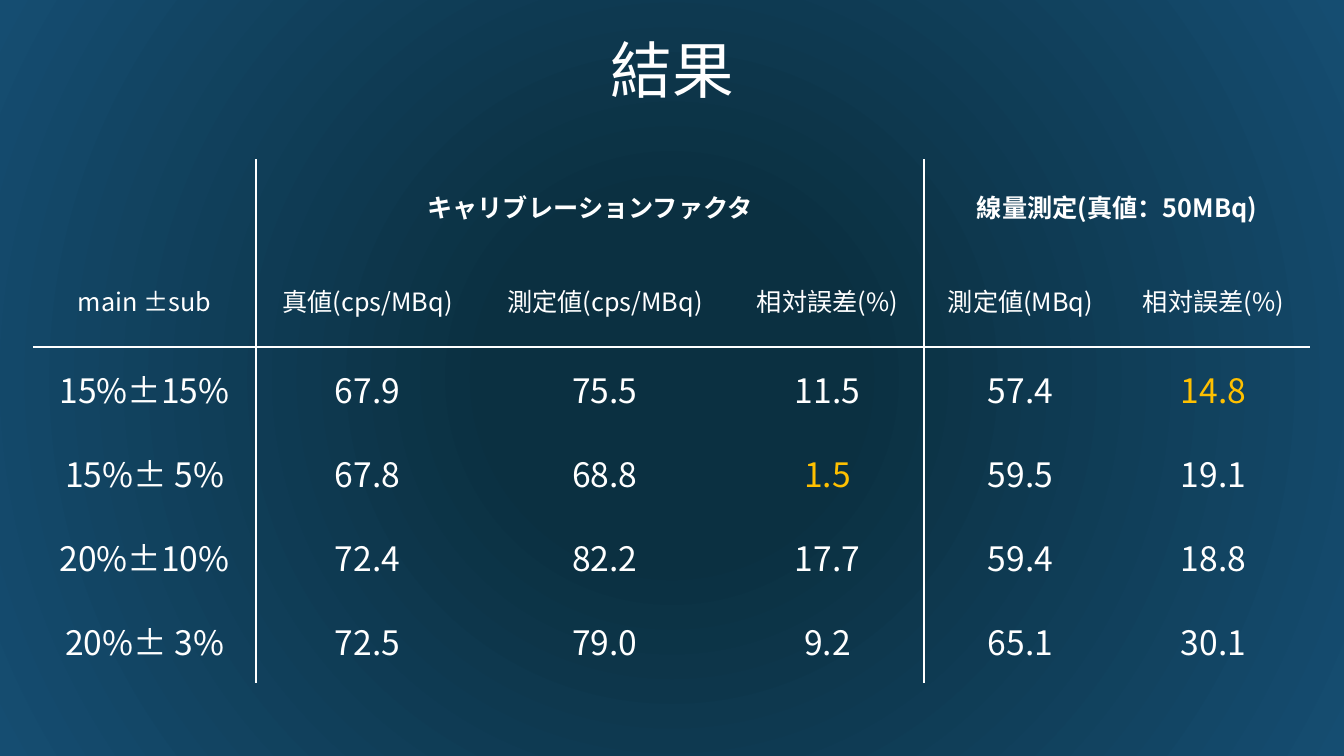
from lxml import etree
from pptx import Presentation
from pptx.dml.color import RGBColor
from pptx.enum.text import MSO_ANCHOR, PP_ALIGN
from pptx.oxml import parse_xml
from pptx.oxml.ns import nsdecls, qn
from pptx.util import Pt

TITLE = "結果"
ROWS = [
    ("", "キャリブレーションファクタ", "", "", "線量測定(真値：50MBq)", ""),
    ("main ±sub", "真値(cps/MBq)", "測定値(cps/MBq)", "相対誤差(%)", "測定値(MBq)", "相対誤差(%)"),
    ("15%±15%", "67.9", "75.5", "11.5", "57.4", "14.8"),
    ("15%± 5%", "67.8", "68.8", "1.5", "59.5", "19.1"),
    ("20%±10%", "72.4", "82.2", "17.7", "59.4", "18.8"),
    ("20%± 3%", "72.5", "79.0", "9.2", "65.1", "30.1"),
]
BEST_CELLS = {(2, 5), (3, 3)}
GROUP_SPANS = [(1, 3), (4, 5)]
GROUP_STARTS = {1, 4}
HEADER_ROWS = 2
COLUMN_WIDTHS = [223, 223, 252, 193, 193, 193]
ROW_HEIGHTS = [94, 94, 84, 84, 84, 84]
TABLE_LEFT, TABLE_TOP = 33, 159
TITLE_FRAME = (93, 1, 1159, 146)

FONT = "Noto Sans CJK JP"
WHITE = RGBColor(0xFF, 0xFF, 0xFF)
GOLD = RGBColor(0xFF, 0xC0, 0x00)
NAVY = RGBColor(0x0B, 0x30, 0x41)
BLUE = RGBColor(0x15, 0x4D, 0x71)
BACKGROUND_STOPS = [(0, NAVY), (23, NAVY), (100, BLUE)]
CENTER = PP_ALIGN.CENTER
MIDDLE = MSO_ANCHOR.MIDDLE


def px(length):
    return round(length * 914400 / 100.8)


def paint_background(page):
    page.background.fill.solid()
    stops = "".join(
        f'<a:gs pos="{place * 1000}"><a:srgbClr val="{color}"/></a:gs>'
        for place, color in BACKGROUND_STOPS
    )
    gradient = parse_xml(
        f'<a:gradFill {nsdecls("a")} rotWithShape="1"><a:gsLst>{stops}</a:gsLst>'
        '<a:path path="circle"><a:fillToRect l="50000" t="50000" r="50000" b="50000"/>'
        "</a:path></a:gradFill>"
    )
    solid = page.background._cSld.find(".//" + qn("a:solidFill"))
    solid.getparent().replace(solid, gradient)


def write(frame, text, size, color=WHITE, bold=False):
    para = frame.paragraphs[0]
    para.text = text
    para.alignment = CENTER
    para.font.size = Pt(size)
    para.font.bold = bold
    para.font.color.rgb = color
    para.font.name = FONT
    defaults = para._p.pPr.find(qn("a:defRPr"))
    etree.SubElement(defaults, qn("a:ea"), typeface=FONT)
    return para


def rule_cell(cell, row, column):
    sides = {
        "L": column in GROUP_STARTS,
        "R": column + 1 in GROUP_STARTS,
        "T": row == HEADER_ROWS,
        "B": row + 1 == HEADER_ROWS,
    }
    properties = cell._tc.get_or_add_tcPr()
    for side, ruled in sides.items():
        line = etree.SubElement(properties, qn(f"a:ln{side}"), w=str(Pt(1)))
        if ruled:
            fill = etree.SubElement(line, qn("a:solidFill"))
            etree.SubElement(fill, qn("a:srgbClr"), val=str(WHITE))
        else:
            etree.SubElement(line, qn("a:noFill"))
    cell.fill.background()


def add_results(page):
    frame = page.shapes.add_table(
        len(ROWS), len(COLUMN_WIDTHS), px(TABLE_LEFT), px(TABLE_TOP),
        px(sum(COLUMN_WIDTHS)), px(sum(ROW_HEIGHTS)),
    )
    table = frame.table
    table.first_row = False
    table.horz_banding = False
    for column, width in zip(table.columns, COLUMN_WIDTHS):
        column.width = px(width)
    for row, height in zip(table.rows, ROW_HEIGHTS):
        row.height = px(height)
    for first, last in GROUP_SPANS:
        table.cell(0, first).merge(table.cell(0, last))
    for row, values in enumerate(ROWS):
        size = 18 if row < HEADER_ROWS else 24
        for column, value in enumerate(values):
            cell = table.cell(row, column)
            rule_cell(cell, row, column)
            cell.vertical_anchor = MIDDLE
            if value:
                color = GOLD if (row, column) in BEST_CELLS else WHITE
                write(cell.text_frame, value, size, color, bold=row == 0)


def add_title(page):
    box = page.shapes.add_textbox(*map(px, TITLE_FRAME))
    box.text_frame.word_wrap = True
    box.text_frame.vertical_anchor = MIDDLE
    write(box.text_frame, TITLE, 44).line_spacing = 0.9


def main():
    deck = Presentation()
    deck.slide_width, deck.slide_height = px(1344), px(756)
    page = deck.slides.add_slide(deck.slide_layouts[6])
    paint_background(page)
    add_results(page)
    add_title(page)
    deck.save("out.pptx")


if __name__ == "__main__":
    main()
